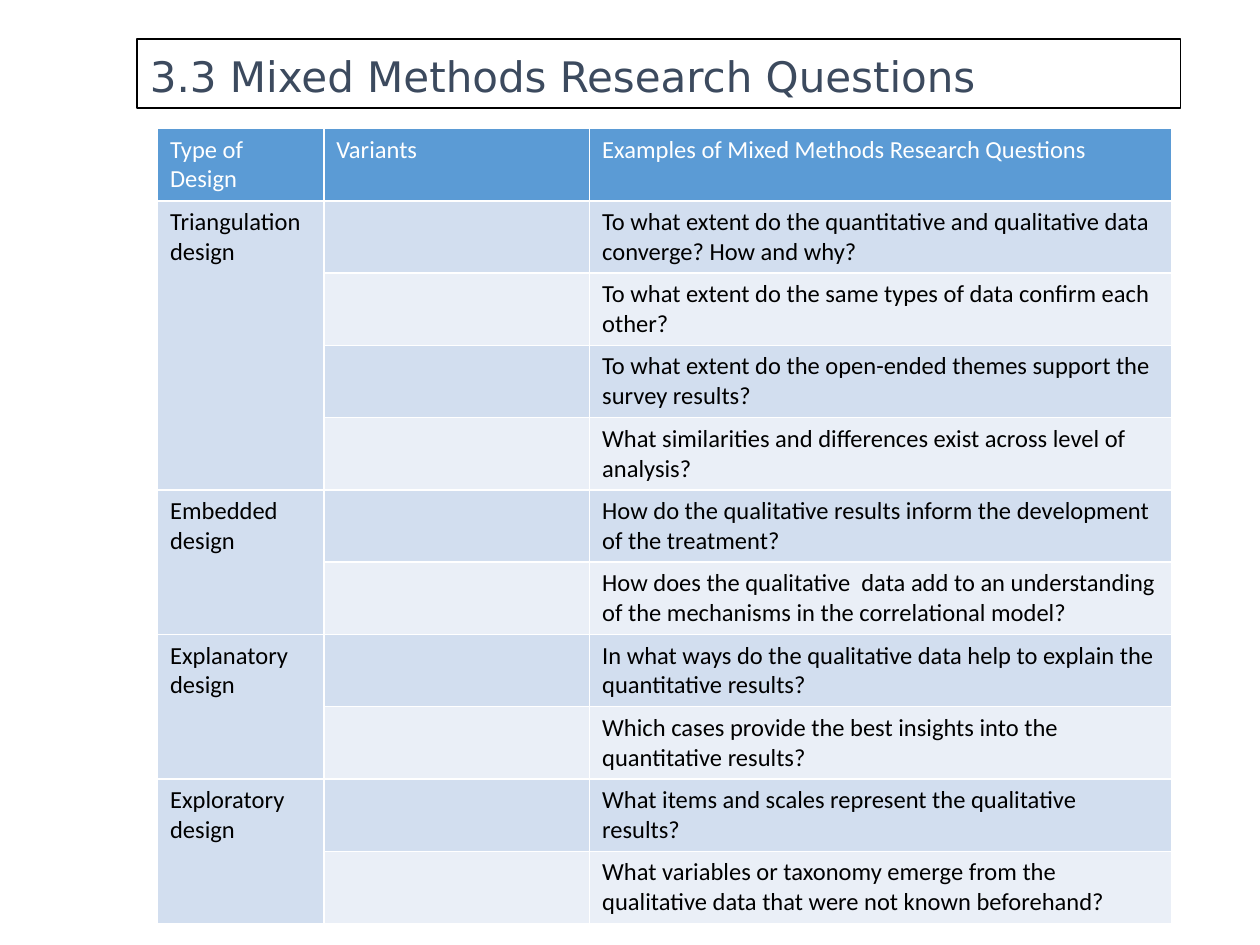
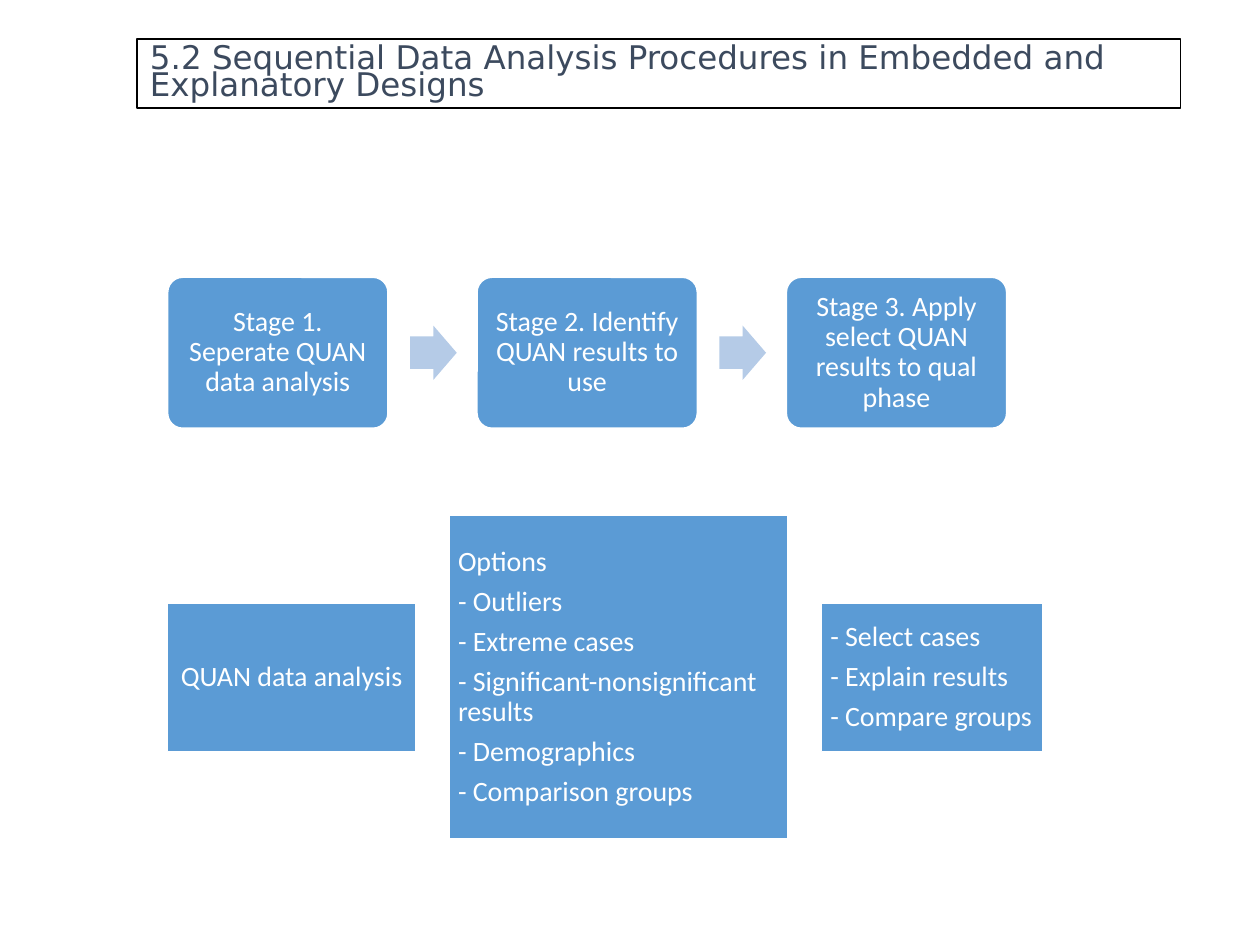
from collections import namedtuple

from pptx import Presentation
from pptx import util as u
from pptx.dml.color import RGBColor
from pptx.enum import shapes, text

COLORS = {
    "white": "FFFFFF",
    "black": "000000",
    "title": "3C4A5E",
    "blue": "5B9BD5",
    "arrow": "B5CBE7",
    "band_dark": "D2DEEF",
    "band_light": "EAEFF7",
}
BODY_FONT = "Calibri"
TITLE_FONT = "DejaVu Sans"

# The slide is a grid of 100 columns by 75 rows of square cells.
CELL = u.Inches(0.1)
Box = namedtuple("Box", "left top width height")
TITLE_BOX = Box(10.9, 3.1, 82.8, 5.5)

HEADERS = ["Type of Design", "Variants", "Examples of Mixed Methods Research Questions"]
DESIGNS = {
    "Triangulation design": [
        "To what extent do the quantitative and qualitative data converge? How and why?",
        "To what extent do the same types of data confirm each other?",
        "To what extent do the open-ended themes support the survey results?",
        "What similarities and differences exist across level of analysis?",
    ],
    "Embedded design": [
        "How do the qualitative results inform the development of the treatment?",
        "How does the qualitative  data add to an understanding of the mechanisms "
        "in the correlational model?",
    ],
    "Explanatory design": [
        "In what ways do the qualitative data help to explain the quantitative results?",
        "Which cases provide the best insights into the quantitative results?",
    ],
    "Exploratory design": [
        "What items and scales represent the qualitative results?",
        "What variables or taxonomy emerge from the qualitative data that were not "
        "known beforehand?",
    ],
}
STAGES = [
    "Stage 1. Seperate QUAN data analysis",
    "Stage 2. Identify QUAN results to use",
    "Stage 3. Apply select QUAN results to qual phase",
]
# Width and height in grid cells, alignment, lines
DETAILS = [
    (19.7, 11.8, text.PP_ALIGN.CENTER, ["QUAN data analysis"]),
    (26.9, 25.7, text.PP_ALIGN.LEFT, [
        "Options", "- Outliers", "- Extreme cases",
        "- Significant-nonsignificant results", "- Demographics", "- Comparison groups",
    ]),
    (17.6, 11.8, text.PP_ALIGN.LEFT,
     ["- Select cases", "- Explain results", "- Compare groups"]),
]


def color(name):
    return RGBColor.from_string(COLORS[name])


def lengths(box):
    return [round(value * CELL) for value in box]


def fill_with(target, name):
    target.fill.solid()
    target.fill.fore_color.rgb = color(name)


def outline(shape, name):
    shape.line.color.rgb = color(name)
    shape.line.width = u.Pt(1)


def write(frame, lines, size, font, font_color, align=text.PP_ALIGN.LEFT,
          line_spacing=None, space_after=None):
    frame.text = "\n".join(lines)
    for paragraph in frame.paragraphs:
        paragraph.alignment = align
        paragraph.line_spacing = line_spacing
        paragraph.space_after = space_after
        for run in paragraph.runs:
            run.font.size = u.Pt(size)
            run.font.name = font
            run.font.bold = False
            run.font.color.rgb = color(font_color)


def add_titled_slide(presentation, title, size, line_spacing):
    slide = presentation.slides.add_slide(presentation.slide_layouts[5])
    shape = slide.shapes.title
    shape.left, shape.top, shape.width, shape.height = lengths(TITLE_BOX)
    fill_with(shape, "white")
    outline(shape, "black")
    frame = shape.text_frame
    frame.auto_size = text.MSO_AUTO_SIZE.NONE
    frame.vertical_anchor = text.MSO_ANCHOR.BOTTOM
    write(frame, [title], size, TITLE_FONT, "title", line_spacing=line_spacing)
    return slide


def add_block(slide, kind, box, fill):
    shape = slide.shapes.add_shape(kind, *lengths(box))
    shape.shadow.inherit = False
    fill_with(shape, fill)
    shape.line.fill.background()
    return shape


def add_text_block(slide, kind, box, lines, align):
    shape = add_block(slide, kind, box, "blue")
    outline(shape, "white")
    frame = shape.text_frame
    frame.word_wrap = True
    frame.vertical_anchor = text.MSO_ANCHOR.MIDDLE
    frame.margin_left = frame.margin_right = u.Inches(0.07)
    frame.margin_top = frame.margin_bottom = u.Inches(0.07)
    write(frame, lines, 16, BODY_FONT, "white", align, 0.9, u.Pt(5.6))
    return shape


def add_question_table(slide, box):
    row_count = 1 + sum(len(questions) for questions in DESIGNS.values())
    table = slide.shapes.add_table(row_count, len(HEADERS), *lengths(box)).table
    for column, share in zip(table.columns, (0.164, 0.262, 0.574)):
        column.width = round(box.width * share * CELL)

    def set_cell(row, column, words, fill, font_color="black"):
        cell = table.cell(row, column)
        fill_with(cell, fill)
        write(cell.text_frame, [words], 14, BODY_FONT, font_color)

    for column, header in enumerate(HEADERS):
        set_cell(0, column, header, "blue", "white")
    row = 1
    for design, questions in DESIGNS.items():
        last_row = row + len(questions) - 1
        table.cell(row, 0).merge(table.cell(last_row, 0))
        set_cell(row, 0, design, "band_dark")
        for question in questions:
            band = "band_dark" if row % 2 else "band_light"
            set_cell(row, 1, "", band)
            set_cell(row, 2, question, band)
            row += 1


def add_stage_row(slide, box):
    """Equal rounded stages across the box, with an arrow in each gap."""
    width = 17.5
    pitch = (box.width - width) / (len(STAGES) - 1)
    arrow_width, arrow_height = 3.7, 4.3
    for index, stage in enumerate(STAGES):
        left = box.left + index * pitch
        shape = add_text_block(slide, shapes.MSO_SHAPE.ROUNDED_RECTANGLE,
                               Box(left, box.top, width, box.height),
                               [stage], text.PP_ALIGN.CENTER)
        shape.adjustments[0] = 0.1
        if index < len(STAGES) - 1:
            arrow = add_block(slide, shapes.MSO_SHAPE.RIGHT_ARROW,
                              Box(left + 1.1 * width,
                                  box.top + (box.height - arrow_height) / 2,
                                  arrow_width, arrow_height), "arrow")
            arrow.adjustments[0] = 0.6


def add_detail_row(slide, box):
    """Blocks centred on the box's middle line, with equal gaps."""
    gap = (box.width - sum(detail[0] for detail in DETAILS)) / (len(DETAILS) - 1)
    left = box.left
    for width, height, align, lines in DETAILS:
        top = box.top + (box.height - height) / 2
        add_text_block(slide, shapes.MSO_SHAPE.RECTANGLE,
                       Box(left, top, width, height), lines, align)
        left += width + gap


def main():
    presentation = Presentation()
    presentation.slide_width = 100 * CELL
    presentation.slide_height = 75 * CELL

    slide = add_titled_slide(presentation, "3.3 Mixed Methods Research Questions", 24, 0.9)
    add_question_table(slide, Box(12.5, 10.2, 80.5, 63))

    slide = add_titled_slide(
        presentation,
        "5.2 Sequential Data Analysis Procedures in Embedded and Explanatory Designs",
        18.6, 0.7)
    add_stage_row(slide, Box(13.3, 22, 66.6, 12))
    add_detail_row(slide, Box(13.3, 40.9, 69.5, 25.7))

    presentation.save("out.pptx")


if __name__ == "__main__":
    main()
